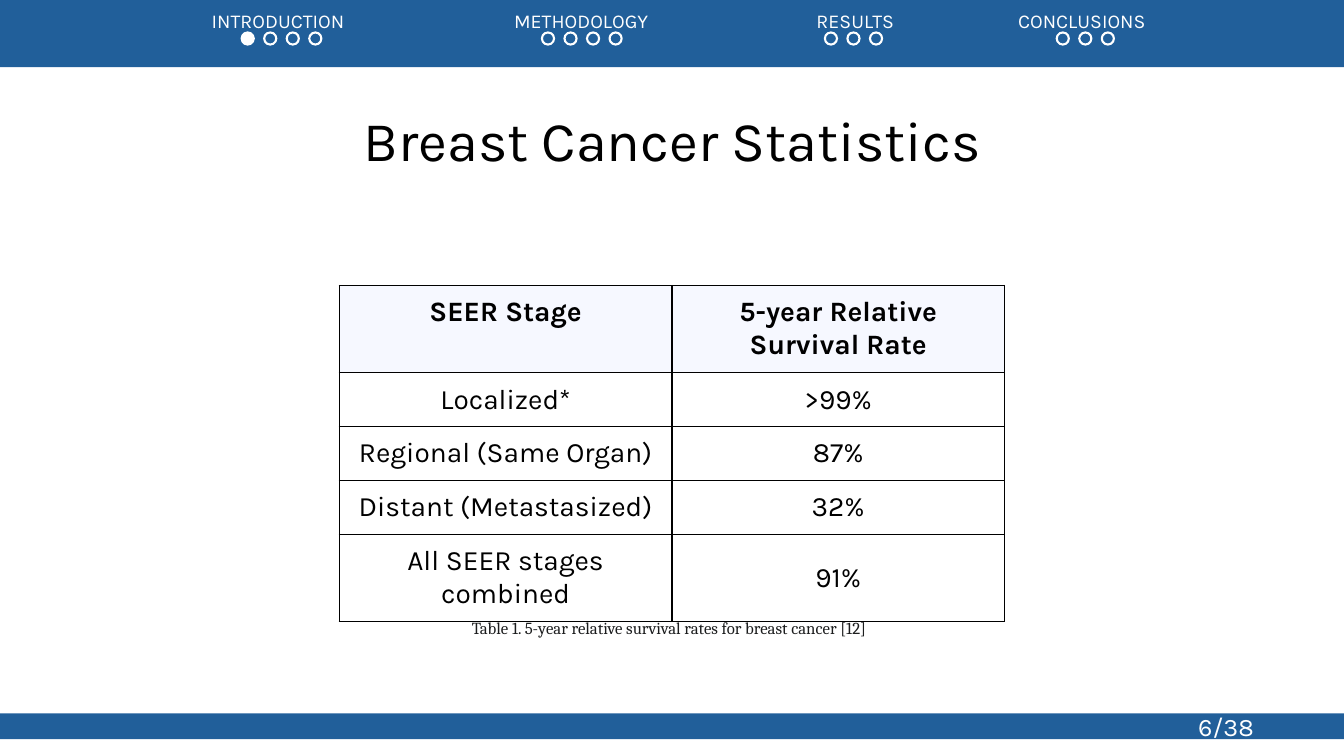
from lxml.etree import SubElement as Sub
from pptx import Presentation
from pptx.dml.color import RGBColor as RGB
from pptx.enum.shapes import MSO_SHAPE as Shape
from pptx.enum.text import MSO_ANCHOR as Anchor, PP_ALIGN as Align
from pptx.oxml import parse_xml
from pptx.oxml.ns import nsdecls, qn
from pptx.util import Pt

BLUE = RGB(0x21, 0x5F, 0x9A)
WHITE = RGB(0xFF, 0xFF, 0xFF)
BLACK = RGB(0, 0, 0)
PALE = RGB(0xF6, 0xF8, 0xFF)
INK = RGB(0x1C, 0x1D, 0x1E)

WIDE, HIGH = 960, 540
DOT, STEP = 8.64, 16.1

# Section name, its left edge, left edge of its dots, number of dots
PARTS = [
    ("INTRODUCTION", 151.2, 172.6, 4),
    ("METHODOLOGY", 367.2, 387.1, 4),
    ("RESULTS", 583.2, 589.2, 3),
    ("CONCLUSIONS", 727.2, 754.8, 3),
]
ROWS = [
    ("SEER Stage", "5-year Relative Survival Rate"),
    ("Localized*", ">99%"),
    ("Regional (Same Organ)", "87%"),
    ("Distant (Metastasized)", "32%"),
    ("All SEER stages combined", "91%"),
]
TALL, LOW = 62.4, 38.4


def style(item, form):
    for key, value in form.items():
        setattr(item, key, value)


def write(frame, text, size, color, name="Karla", bold=False, align=Align.CENTER):
    par = frame.paragraphs[0]
    par.alignment = align
    run = par.add_run()
    run.text = text
    style(run.font, {"size": Pt(size), "name": name, "bold": bold})
    run.font.color.rgb = color
    return par


def label(slide, box, text, size, color, form=None, **look):
    frame = slide.shapes.add_textbox(*map(Pt, box)).text_frame
    style(frame, {"word_wrap": True, **(form or {})})
    return write(frame, text, size, color, **look)


def solid(slide, kind, box, fill, line=None):
    shape = slide.shapes.add_shape(kind, *map(Pt, box))
    shape.shadow.inherit = False
    shape.fill.solid()
    shape.fill.fore_color.rgb = fill
    if line is None:
        shape.line.fill.background()
    else:
        shape.line.color.rgb = line
        shape.line.width = Pt(1.5)


def header(slide, box):
    left, top, width, height = box
    solid(slide, Shape.RECTANGLE, box, BLUE)

    # Section names on one line, spread by tab stops
    start = PARTS[0][1]
    form = {"margin_left": 0, "margin_right": 0, "vertical_anchor": Anchor.MIDDLE}
    names = "\t".join(part[0] for part in PARTS)
    par = label(slide, (left + start, top + 2.8, width - start, 24), names, 14,
                WHITE, form, align=Align.LEFT)
    tabs = Sub(par._p.get_or_add_pPr(), qn("a:tabLst"))
    for _, edge, _, _ in PARTS[1:]:
        Sub(tabs, qn("a:tab"), pos=str(Pt(edge - start)), algn="l")

    # Progress dots, the first one filled
    for part, (_, _, edge, count) in enumerate(PARTS):
        for dot in range(count):
            fill = WHITE if part == dot == 0 else BLUE
            spot = (left + edge + dot * STEP, top + 23.2, DOT, DOT)
            solid(slide, Shape.OVAL, spot, fill, WHITE)


def border(cell):
    props = cell._tc.get_or_add_tcPr()
    for spot, side in enumerate(("lnL", "lnR", "lnT", "lnB")):
        props.insert(spot, parse_xml(
            f'<a:{side} {nsdecls("a")} w="{Pt(1)}"><a:solidFill>'
            f'<a:srgbClr val="{BLACK}"/></a:solidFill></a:{side}>'))


def rates(slide, box):
    left, top, width, height = box
    grid = slide.shapes.add_table(len(ROWS), 2, *map(Pt, box)).table
    style(grid, {"first_row": False, "horz_banding": False})
    for col in grid.columns:
        col.width = Pt(width / 2)
    pad = {"margin_left": Pt(9.6), "margin_right": Pt(9.6),
           "margin_top": Pt(7.2), "margin_bottom": Pt(7.2)}
    for row, texts in enumerate(ROWS):
        head = row == 0
        grid.rows[row].height = Pt(TALL if row in (0, len(ROWS) - 1) else LOW)
        for col, text in enumerate(texts):
            cell = grid.cell(row, col)
            style(cell, {**pad, "vertical_anchor": Anchor.TOP if head else Anchor.MIDDLE})
            cell.fill.solid()
            cell.fill.fore_color.rgb = PALE if head else WHITE
            write(cell.text_frame, text, 20, BLACK, bold=head)
            border(cell)

    # Caption below the table
    label(slide, (left - 14, top + height - 6.1, width + 24, 21.6),
          "Table 1. 5-year relative survival rates for breast cancer [12]",
          12, INK, name="Cambria")


def footer(slide, box):
    left, top, width, height = box
    solid(slide, Shape.RECTANGLE, box, BLUE)
    label(slide, (left + width - 130, top - 6, 91.4, 30), "6/38", 18, WHITE,
          {"vertical_anchor": Anchor.MIDDLE})


def main():
    deck = Presentation()
    style(deck, {"slide_width": Pt(WIDE), "slide_height": Pt(HIGH)})
    slide = deck.slides.add_slide(deck.slide_layouts[6])
    header(slide, (0, 0, WIDE, 48))
    label(slide, (185, 72, 590, 55.4), "Breast Cancer Statistics", 40, BLACK)
    rates(slide, (242.4, 203.9, 475.2, 2 * TALL + 3 * LOW))
    footer(slide, (0, 509.6, WIDE, 18.4))
    deck.save("out.pptx")


if __name__ == "__main__":
    main()
